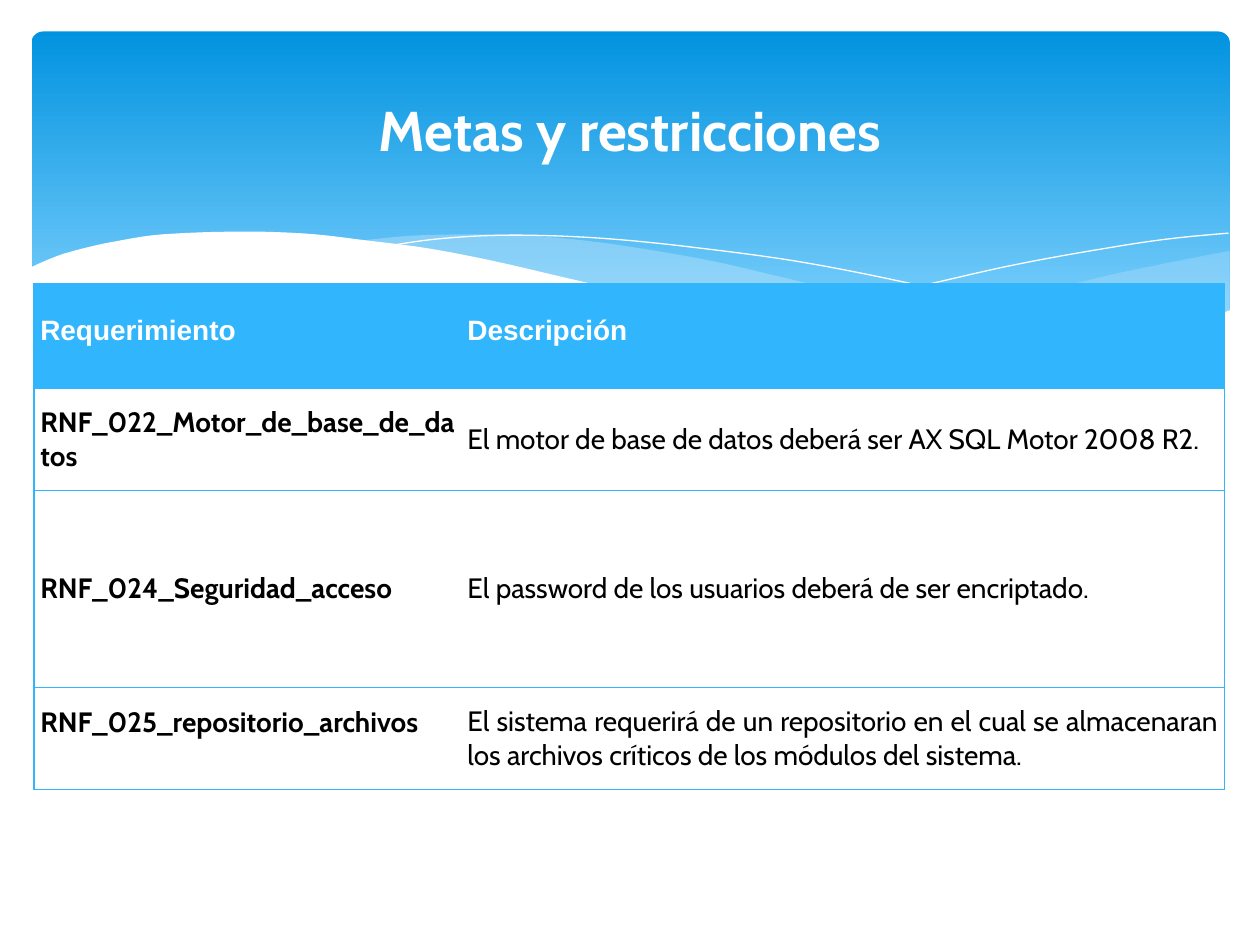
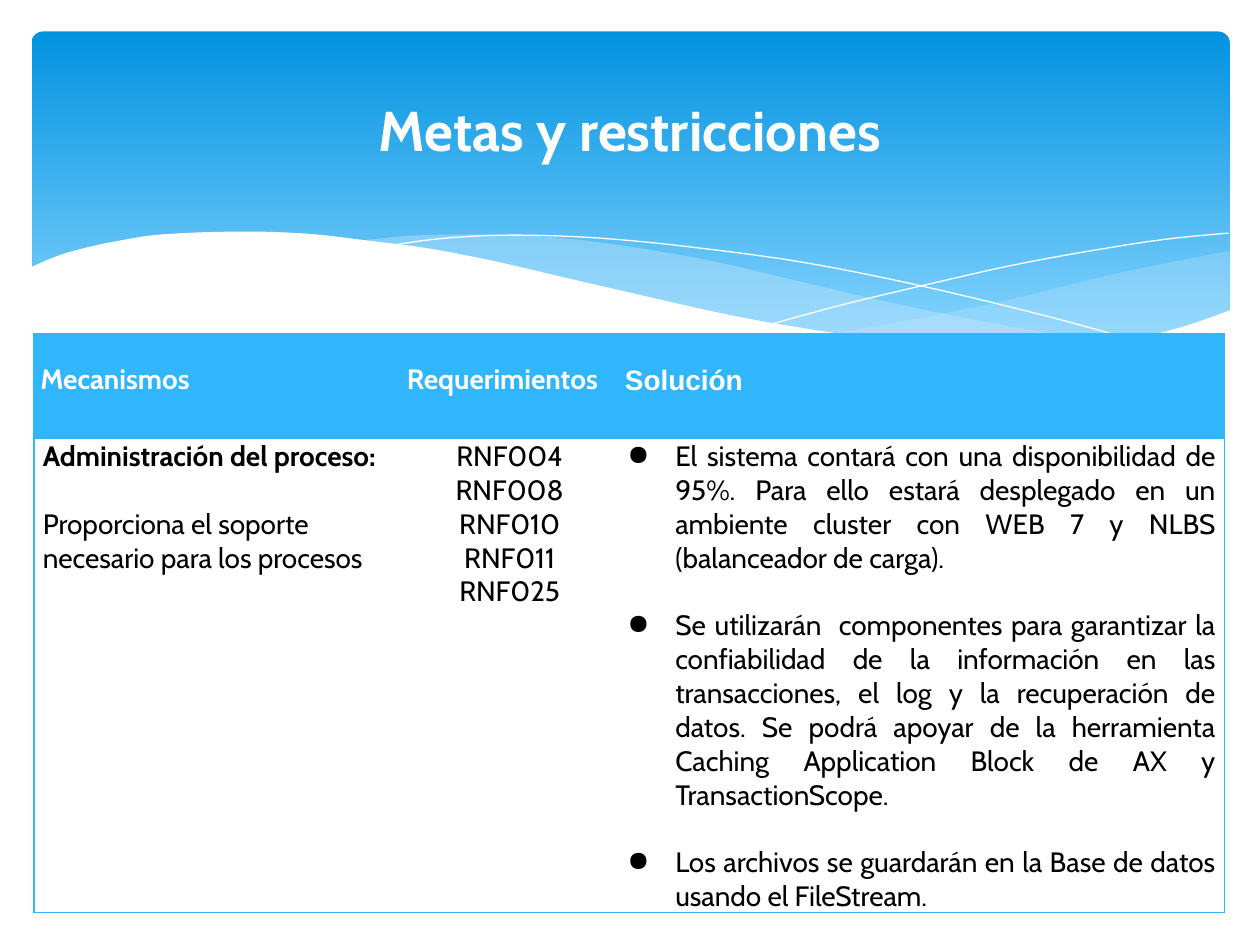
from lxml import etree
from pptx import Presentation
from pptx import util as u
from pptx.dml.color import RGBColor
from pptx.enum import shapes, text
from pptx.oxml import ns

PX = 9144  # EMU in one px, 100 px to the inch

WHITE = RGBColor(0xFF, 0xFF, 0xFF)
BLACK = RGBColor(0x00, 0x00, 0x00)
SKY = RGBColor(0x31, 0xB6, 0xFD)
BAND_TOP = RGBColor(0x02, 0x93, 0xE0)
BAND_BOTTOM = RGBColor(0x83, 0xD3, 0xFE)
MIST = RGBColor(0xC6, 0xE7, 0xFC)

BODY = "Cabin"
ALT = "Arial"
LINE_GAP = u.Pt(19.4)  # one empty line of body text

LEFT, CENTER, JUSTIFY = (text.PP_ALIGN.LEFT, text.PP_ALIGN.CENTER,
                         text.PP_ALIGN.JUSTIFY)
TOP, MIDDLE = text.MSO_ANCHOR.TOP, text.MSO_ANCHOR.MIDDLE

# Key points of the wave edges, in px
RIGHT_VEIL_TOP = [(976, 199), (935, 207), (891, 216), (861, 223), (805, 237),
                  (753, 248), (706, 257), (661, 265)]
RIGHT_VEIL_BOTTOM = [(661, 265), (705, 271), (757, 275), (803, 278),
                     (844, 277), (881, 273), (913, 267), (942, 259), (976, 247)]
LEFT_VEIL_TOP = [(893, 273), (837, 265), (775, 254), (706, 240), (629, 222),
                 (569, 208), (514, 198), (465, 191), (420, 187), (380, 186),
                 (328, 187), (286, 191)]
LEFT_VEIL_BOTTOM = [(286, 191), (342, 199), (404, 211), (449, 222), (530, 240),
                    (601, 255), (665, 266), (722, 274), (773, 277), (818, 278),
                    (857, 277), (893, 273)]
FALLING_LINE = [(309, 195), (344, 190), (387, 187), (433, 187), (489, 190),
                (556, 197), (636, 208), (727, 226), (831, 251), (907, 272)]
RISING_LINE = [(613, 257), (672, 241), (748, 223), (806, 210), (866, 199),
               (924, 190), (975, 185)]
WHITE_WAVE = [(977, 246), (940, 259), (899, 269), (850, 275), (809, 277),
              (761, 275), (708, 270), (647, 262), (579, 250), (503, 233),
              (447, 220), (391, 207), (339, 197), (292, 191), (250, 186),
              (211, 184), (177, 184), (146, 185), (119, 187), (95, 191),
              (75, 195), (52, 201), (36, 207), (23, 213)]


def smooth(points, steps=5):
    """Catmull-Rom curve through the points."""
    ends = [points[0], *points, points[-1]]
    curve = []
    for a, b, c, d in zip(ends, ends[1:], ends[2:], ends[3:]):
        for i in range(steps):
            t = i / steps
            curve.append(tuple(
                (2 * q + (r - p) * t + (2 * p - 5 * q + 4 * r - s) * t ** 2
                 + (3 * q - p - 3 * r + s) * t ** 3) / 2
                for p, q, r, s in zip(a, b, c, d)))
    return curve + [points[-1]]


def add_xml(parent, tag, **attrs):
    return etree.SubElement(parent, ns.qn(tag), attrs)


def write(tf, content, first=False, size=16, font=BODY, color=BLACK, bold=False,
          align=LEFT, spacing=None, before=None, bullet=None):
    """Put one paragraph in a text frame."""
    p = tf.paragraphs[0] if first else tf.add_paragraph()
    p.alignment = align
    if spacing:
        p.line_spacing = spacing
    if before:
        p.space_before = before
    if bullet:
        pPr = p._p.get_or_add_pPr()
        pPr.set("marL", str(38 * PX))
        pPr.set("indent", str(-38 * PX))
        add_xml(add_xml(pPr, "a:buClr"), "a:srgbClr", val=str(color))
        add_xml(pPr, "a:buChar", char=bullet)
    r = p.add_run()
    r.text = content
    r.font.size, r.font.name, r.font.bold = u.Pt(size), font, bold
    r.font.color.rgb = color


def para(content, **fmt):
    return content, fmt


def cell_of(*paras, anchor=MIDDLE, margins=(5, 0, 5, 0)):
    return paras, anchor, margins


def header(content, font=BODY):
    return cell_of(para(content, font=font, color=WHITE, bold=True,
                        spacing=u.Pt(12)))


class Deck:
    def __init__(self):
        self.prs = Presentation()
        self.prs.slide_width, self.prs.slide_height = 1000 * PX, 750 * PX
        self.s = None

    def slide(self, title):
        self.s = self.prs.slides.add_slide(self.prs.slide_layouts[6])
        self.band()
        self.waves()
        self.title(title)

    def band(self):
        sp = self.s.shapes.add_shape(shapes.MSO_SHAPE.ROUNDED_RECTANGLE,
                                     25 * PX, 25 * PX, 951 * PX, 270 * PX)
        sp.adjustments[0] = 0.034
        sp.shadow.inherit = False
        sp.line.fill.background()
        sp.fill.gradient()
        sp.fill.gradient_angle = 270
        stops = sp.fill.gradient_stops
        for stop, color, place in zip(stops, (BAND_TOP, BAND_BOTTOM), (0, 0.9)):
            stop.color.rgb, stop.position = color, place

    def waves(self):
        self.outline(smooth(RIGHT_VEIL_TOP) + smooth(RIGHT_VEIL_BOTTOM),
                     fill=MIST, alpha=29)
        self.outline(smooth(LEFT_VEIL_TOP) + smooth(LEFT_VEIL_BOTTOM),
                     fill=MIST, alpha=40)
        for points in (FALLING_LINE, RISING_LINE):
            self.outline(smooth(points), line=WHITE)
        self.outline(smooth(WHITE_WAVE) + [(23, 329), (977, 329)], fill=WHITE)

    def outline(self, points, fill=None, alpha=100, line=None):
        (x, y), *rest = [(round(a * PX), round(b * PX)) for a, b in points]
        builder = self.s.shapes.build_freeform(x, y)
        builder.add_line_segments(rest, close=fill is not None)
        sp = builder.convert_to_shape()
        sp.shadow.inherit = False
        if fill is None:
            sp.fill.background()
        else:
            sp.fill.solid()
            sp.fill.fore_color.rgb = fill
            if alpha < 100:
                clr = sp._element.spPr.find(".//" + ns.qn("a:srgbClr"))
                add_xml(clr, "a:alpha", val=str(alpha * 1000))
        if line is None:
            sp.line.fill.background()
        else:
            sp.line.color.rgb = line
            sp.line.width = 0

    def title(self, content):
        tf = self.s.shapes.add_textbox(50 * PX, 37 * PX, 900 * PX,
                                       137 * PX).text_frame
        tf.word_wrap = True
        tf.vertical_anchor = MIDDLE
        write(tf, content, first=True, size=32, color=WHITE, bold=True,
              align=CENTER, spacing=0.9)

    def table(self, top, widths, heights, rows):
        tbl = self.s.shapes.add_table(
            len(heights), len(widths), 27 * PX, top * PX,
            sum(widths) * PX, sum(heights) * PX).table
        tbl.horz_banding = False
        for column, width in zip(tbl.columns, widths):
            column.width = width * PX
        for row, height in zip(tbl.rows, heights):
            row.height = height * PX
        for i, row in enumerate(rows):
            for j, (paras, anchor, margins) in enumerate(row):
                cell = tbl.cell(i, j)
                self.borders(cell, left=j == 0, right=j == len(widths) - 1)
                cell.fill.solid()
                cell.fill.fore_color.rgb = WHITE if i else SKY
                cell.vertical_anchor = anchor
                (cell.margin_left, cell.margin_top, cell.margin_right,
                 cell.margin_bottom) = [m * PX for m in margins]
                for n, (content, fmt) in enumerate(paras):
                    write(cell.text_frame, content, first=n == 0, **fmt)

    def borders(self, cell, left, right):
        """Rules above and below every cell, and on the table's outer sides."""
        tcPr = cell._tc.get_or_add_tcPr()
        for side, shown in (("L", left), ("R", right), ("T", True), ("B", True)):
            ln = add_xml(tcPr, "a:ln" + side, w=str(u.Pt(0.75)))
            if shown:
                add_xml(add_xml(ln, "a:solidFill"), "a:srgbClr", val=str(SKY))
            else:
                add_xml(ln, "a:noFill")


def main():
    deck = Deck()

    # Requirements and their descriptions
    deck.slide("Metas y restricciones")
    requirements = [
        ("RNF_022_Motor_de_base_de_datos",
         "El motor de base de datos deberá ser AX SQL Motor 2008 R2.", {}),
        ("RNF_024_Seguridad_acceso",
         "El password de los usuarios deberá de ser encriptado.", {}),
        ("RNF_025_repositorio_archivos",
         "El sistema requerirá de un repositorio en el cual se almacenaran "
         "los archivos críticos de los módulos del sistema.",
         dict(anchor=TOP, margins=(5, 14, 5, 0))),
    ]
    deck.table(225, (339, 606), (83, 81, 157, 81), [
        [header("Requerimiento", font=ALT), header("Descripción", font=ALT)],
        *[[cell_of(para(name, bold=True), **place),
           cell_of(para(description, align=JUSTIFY))]
          for name, description, place in requirements]])

    # Mechanisms and their solution
    deck.slide("Metas y restricciones")
    codes = ("RNF004", "RNF008", "RNF010", "RNF011", "RNF025")
    solutions = (
        "El sistema contará con una disponibilidad de 95%. Para ello estará "
        "desplegado en un ambiente cluster con WEB 7 y NLBS (balanceador de "
        "carga).",
        "Se utilizarán  componentes para garantizar la confiabilidad de la "
        "información en las transacciones, el log y la recuperación de datos. "
        "Se podrá apoyar de la herramienta Caching Application Block de AX y "
        "TransactionScope.",
        "Los archivos se guardarán en la Base de datos usando el FileStream.")
    body = dict(anchor=TOP, margins=(7, 1, 7, 1))
    deck.table(265, (291, 173, 481), (83, 376), [
        [header("Mecanismos"), header("Requerimientos"),
         header("Solución", font=ALT)],
        [cell_of(para("Administración del proceso:", bold=True, align=JUSTIFY),
                 para("Proporciona el soporte necesario para los procesos",
                      before=LINE_GAP), **body),
         cell_of(*[para(code, align=CENTER) for code in codes], **body),
         cell_of(*[para(solution, align=JUSTIFY, bullet="●",
                        before=LINE_GAP if n else None)
                   for n, solution in enumerate(solutions)], **body)]])

    deck.prs.save("out.pptx")


if __name__ == "__main__":
    main()
